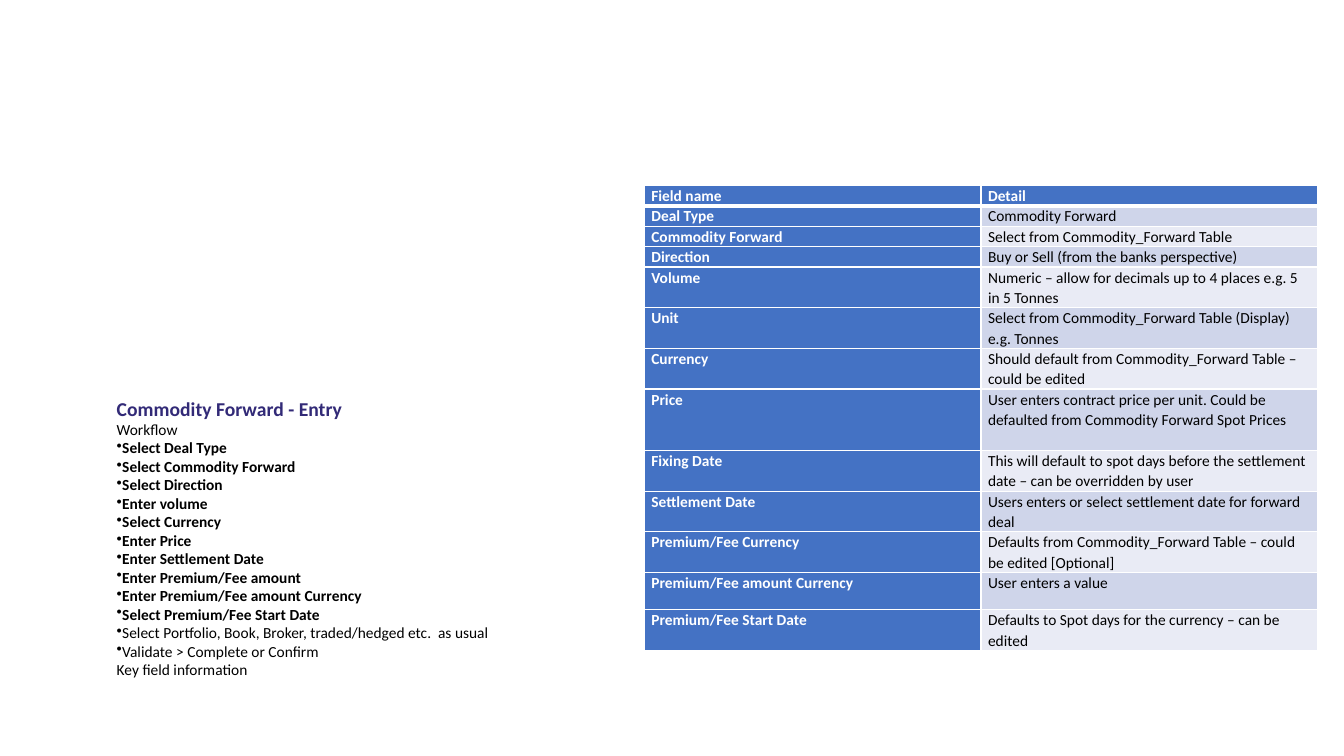
from pptx import Presentation
from pptx.dml.color import RGBColor
from pptx.enum.text import MSO_ANCHOR, MSO_AUTO_SIZE
from pptx.oxml import parse_xml
from pptx.oxml.ns import nsdecls
from pptx.util import Inches, Pt

MIDDLE = MSO_ANCHOR.MIDDLE
FIT_SHAPE = MSO_AUTO_SIZE.SHAPE_TO_FIT_TEXT
BLUE, BANDS = "4472C4", ("E9EBF5", "CFD5EA")
WHITE, BLACK, PURPLE = "FFFFFF", "000000", "322A77"


def style(p, size, color, bold):
    font = p.runs[0].font
    font.name, font.size, font.bold = "Calibri", Pt(size), bold
    font.color.rgb = RGBColor.from_string(color)


def set_borders(cell, top, bottom):
    # Border lines come before the fill in the cell properties
    tcPr = cell._tc.get_or_add_tcPr()
    for i, (side, width) in enumerate((("L", 1), ("R", 1), ("T", top), ("B", bottom))):
        tcPr.insert(i, parse_xml(
            f'<a:ln{side} {nsdecls("a")} w="{Pt(width)}"><a:solidFill>'
            f'<a:srgbClr val="{WHITE}"/></a:solidFill></a:ln{side}>'))


prs = Presentation()
prs.slide_width, prs.slide_height = Inches(13.33), Inches(7.5)
s = prs.slides.add_slide(prs.slide_layouts[6])

# Field table: name, detail, row height
fields = [
    ("Field name", "Detail", 0.2),
    ("Deal Type", "Commodity Forward", 0.2),
    ("Commodity Forward", "Select from Commodity_Forward Table", 0.2),
    ("Direction", "Buy or Sell (from the banks perspective)", 0.2),
    ("Volume", "Numeric – allow for decimals up to 4 places e.g. 5 in 5 Tonnes", 0.4),
    ("Unit", "Select from Commodity_Forward Table (Display) e.g. Tonnes", 0.4),
    ("Currency", "Should default from Commodity_Forward Table – could be edited", 0.4),
    ("Price", "User enters contract price per unit. Could be defaulted from "
              "Commodity Forward Spot Prices", 0.61),
    ("Fixing Date", "This will default to spot days before the settlement date – "
                    "can be overridden by user", 0.4),
    ("Settlement Date", "Users enters or select settlement date for forward deal", 0.4),
    ("Premium/Fee Currency", "Defaults from Commodity_Forward Table – could be edited "
                             "[Optional]", 0.4),
    ("Premium/Fee amount Currency", "User enters a value", 0.37),
    ("Premium/Fee Start Date", "Defaults to Spot days for the currency – can be edited", 0.4),
]
table = s.shapes.add_table(len(fields), 2, Inches(6.39), Inches(1.84),
                           Inches(6.68), Inches(4.58)).table
for col in table.columns:
    col.width = Inches(3.34)
for r, (name, detail, height) in enumerate(fields):
    table.rows[r].height = Inches(height)
    for c, text in enumerate((name, detail)):
        cell = table.cell(r, c)
        heading = r == 0 or c == 0
        cell.margin_left = cell.margin_right = Inches(0.07)
        cell.margin_top = cell.margin_bottom = 0
        cell.fill.solid()
        cell.fill.fore_color.rgb = RGBColor.from_string(BLUE if heading else BANDS[r % 2])
        set_borders(cell, 3 if r == 1 else 1, 3 if r == 0 else 1)
        p = cell.text_frame.paragraphs[0]
        p.text = text
        p.line_spacing = 1.07
        style(p, 11, WHITE if heading else BLACK, heading)

# Workflow text
bold_steps = [
    "Select Deal Type", "Select Commodity Forward", "Select Direction", "Enter volume",
    "Select Currency", "Enter Price", "Enter Settlement Date", "Enter Premium/Fee amount",
    "Enter Premium/Fee amount Currency", "Select Premium/Fee Start Date",
]
plain_steps = ["Select Portfolio, Book, Broker, traded/hedged etc.  as usual",
               "Validate > Complete or Confirm"]
steps = bold_steps + plain_steps
lines = ["Commodity Forward - Entry", "Workflow", *steps, "Key field information"]

tf = s.shapes.add_textbox(Inches(1.06), Inches(3.84), Inches(3.93), Inches(2.91)).text_frame
tf.word_wrap = False
tf.auto_size = FIT_SHAPE
tf.vertical_anchor = MIDDLE
tf.margin_top, tf.margin_bottom = Inches(0.08), 0
tf.text = "\n".join(lines)
for p in tf.paragraphs:
    style(p, 11, BLACK, p.text in bold_steps)
    if p.text in steps:
        p._p.get_or_add_pPr().append(parse_xml(f'<a:buChar {nsdecls("a")} char="•"/>'))
style(tf.paragraphs[0], 14, PURPLE, True)

prs.save("out.pptx")
